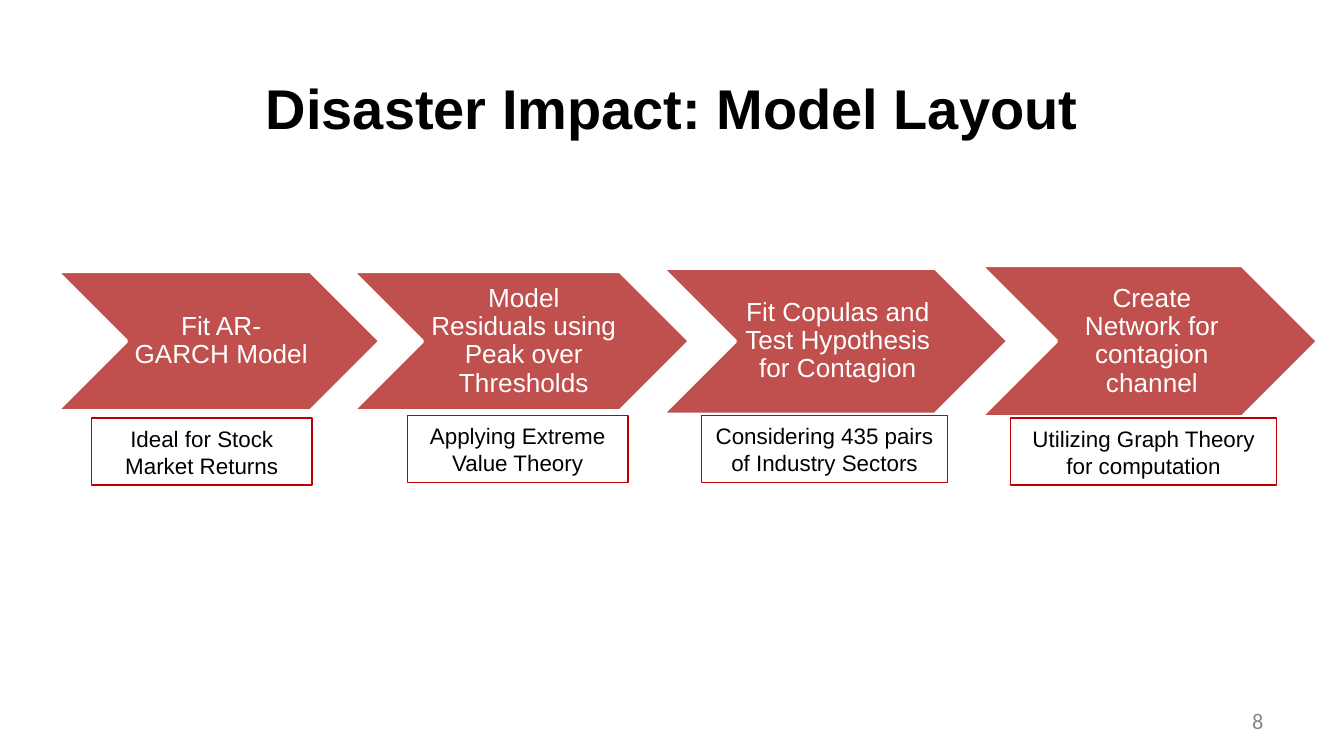
from pptx import Presentation
from pptx.dml.color import RGBColor
from pptx.enum.shapes import MSO_SHAPE
from pptx.enum.text import MSO_ANCHOR, MSO_AUTO_SIZE, PP_ALIGN
from pptx.util import Cm, Pt

CHEVRON, RECT = MSO_SHAPE.CHEVRON, MSO_SHAPE.RECTANGLE
MIDDLE, TOP = MSO_ANCHOR.MIDDLE, MSO_ANCHOR.TOP
CENTER, RIGHT = PP_ALIGN.CENTER, PP_ALIGN.RIGHT
FIXED = MSO_AUTO_SIZE.NONE

BLACK = RGBColor(0x00, 0x00, 0x00)
WHITE = RGBColor(0xFF, 0xFF, 0xFF)
GRAY = RGBColor(0x88, 0x88, 0x88)
BRICK = RGBColor(0xC0, 0x50, 0x4D)
RED = RGBColor(0xC0, 0x00, 0x00)

PAD = (0.25, 0.13, 0.25, 0.13)
TIGHT = (0.15, 0.05, 0.05, 0.05)
START, OVERLAP, MID = 1.07, 0.53, 6.45

STEPS = [
    ("Fit AR-GARCH Model", 6.12, 2.64,
     "Ideal for Stock Market Returns", (1.73, 7.9, 4.17, 1.27)),
    ("Model Residuals using Peak over Thresholds", 6.38, 2.64,
     "Applying Extreme Value Theory", (7.7, 7.85, 4.17, 1.27)),
    ("Fit Copulas and Test Hypothesis for Contagion", 6.55, 2.77,
     "Considering 435 pairs of Industry Sectors", (13.26, 7.85, 4.65, 1.27)),
    ("Create Network for contagion channel", 6.38, 2.87,
     "Utilizing Graph Theory for computation", (19.1, 7.9, 5.03, 1.27)),
]


def write(shape, text, size, color=BLACK, font="Arial", bold=False,
          align=CENTER, anchor=MIDDLE, pad=PAD, spacing=1.0):
    """Put formatted text into a shape."""
    frame = shape.text_frame
    frame.word_wrap = True
    frame.auto_size = FIXED
    frame.vertical_anchor = anchor
    (frame.margin_left, frame.margin_top,
     frame.margin_right, frame.margin_bottom) = map(Cm, pad)
    para = frame.paragraphs[0]
    para.text = text
    para.alignment = align
    para.line_spacing = spacing
    para.font.size = Pt(size)
    para.font.name = font
    para.font.bold = bold
    para.font.color.rgb = color


def add_title(slide, box, text):
    """Fill and place the title placeholder."""
    title = slide.shapes.title
    title.left, title.top, title.width, title.height = map(Cm, box)
    write(title, text, 30, bold=True)


def add_step(slide, box, text):
    """Draw one chevron of the process."""
    step = slide.shapes.add_shape(CHEVRON, *map(Cm, box))
    step.shadow.inherit = False
    step.fill.solid()
    step.fill.fore_color.rgb = BRICK
    step.line.color.rgb = WHITE
    step.line.width = Pt(2)
    write(step, text, 14, color=WHITE, pad=TIGHT, spacing=0.9)


def add_note(slide, box, text):
    """Draw one outlined note under a chevron."""
    note = slide.shapes.add_shape(RECT, *map(Cm, box))
    note.shadow.inherit = False
    note.fill.background()
    note.line.color.rgb = RED
    note.line.width = Pt(0.75)
    write(note, text, 12, anchor=TOP)


def add_flow(slide, left, mid):
    """Chain the chevrons from the left, centred on one line, with notes."""
    for text, width, height, note, box in STEPS:
        add_step(slide, (left, mid - height / 2, width, height), text)
        add_note(slide, box, note)
        left += width - OVERLAP


def add_number(slide, box, text):
    """Write the page number."""
    number = slide.shapes.add_textbox(*map(Cm, box))
    write(number, text, 12, color=GRAY, font="Calibri", align=RIGHT)


def main():
    """Build and save the slide."""
    deck = Presentation()
    deck.slide_width, deck.slide_height = Cm(25.4), Cm(14.29)
    slide = deck.slides.add_slide(deck.slide_layouts[5])
    add_title(slide, (1.27, 1.35, 22.86, 1.35), "Disaster Impact: Model Layout")
    add_flow(slide, START, MID)
    add_number(slide, (18.2, 13.24, 5.93, 0.76), "8")
    deck.save("out.pptx")


if __name__ == "__main__":
    main()
